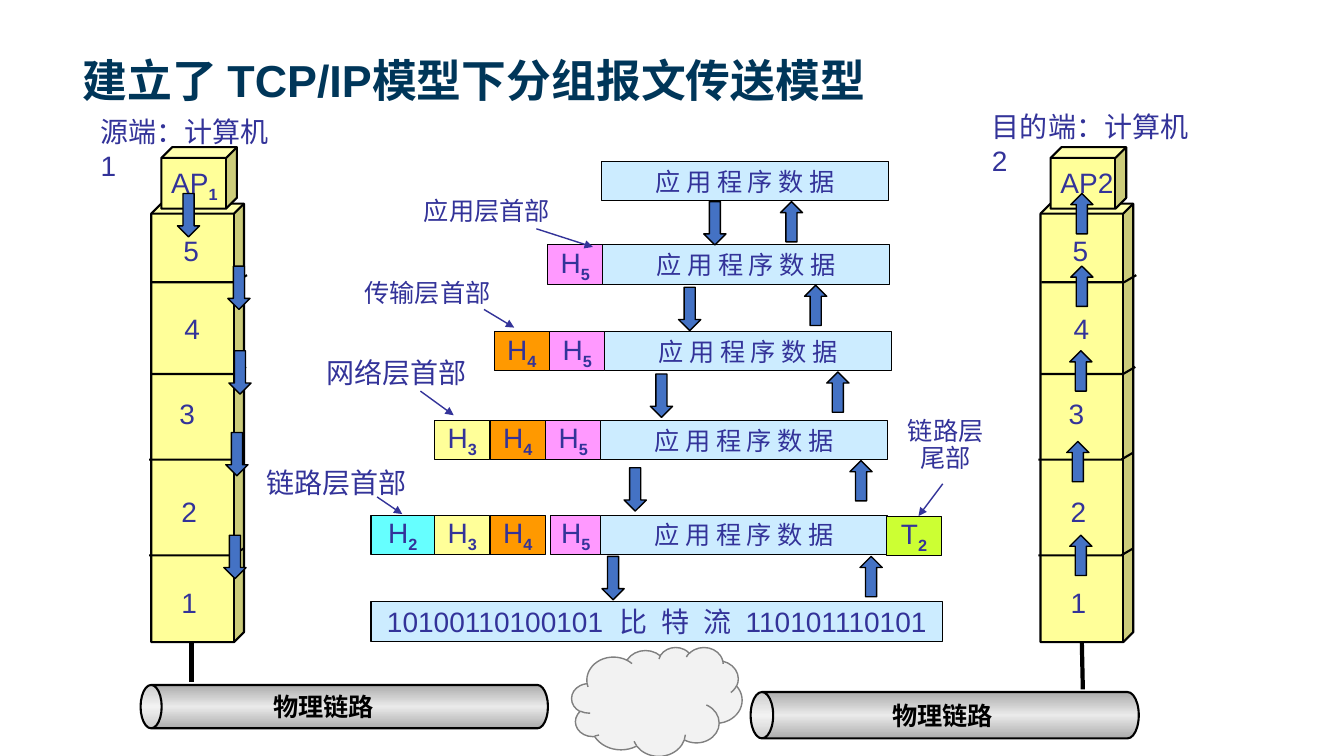
"""Build the slide on packet transfer in the TCP/IP model."""
from copy import deepcopy
from lxml.etree import SubElement
from pptx import Presentation
from pptx.dml.color import RGBColor
from pptx.enum.shapes import MSO_CONNECTOR, MSO_SHAPE
from pptx.enum.text import MSO_ANCHOR, MSO_AUTO_SIZE, PP_ALIGN
from pptx.oxml.ns import qn
from pptx.util import Inches, Pt

THEME = {
    "title": "003659", "ink": "333399", "black": "000000",
    "data": "CCECFF", "box": "FFFF99", "arrow": "4472C4",
    "cloud": "F2F2F2", "edge": "808080", "pipe": ["ACACAC", "EAEAEA", "ACACAC"],
    "H5": "FF99FF", "H4": "FF9900", "H3": "FFFF99", "H2": "66FFFF", "T2": "CCFF33",
    "head": 32, "big": 20, "mid": 18,
    "font": "Arial", "wide": "Cabin", "note": "Quicksand",
}
SUB = {"baseline": "-25000", "b": "1"}
GAP = {"spc": "560"}

TITLE = "建立了 TCP/IP模型下分组报文传送模型"
DATA = "应 用 程 序 数 据"
BITS = ["10100110100101", "比", "特", "流", "110101110101"]
LINK = "物理链路"

TOWERS = [(1.5, [("AP", {}), ("1", SUB)], 0.68), (10.32, [("AP2", {})], 0.73)]
LEVELS = [("5", 0.22, 2.27), ("4", 0.23, 3.04), ("3", 0.18, 3.88),
          ("2", 0.2, 4.86), ("1", 0.2, 5.76)]
SEAMS = [(0.01, 2.8), (0, 3.71), (-0.02, 4.56), (-0.02, 5.51)]
ENDS = [([("源端：计算机", {}), (" ", {"sz": "1000"}), ("1", {})], 0.9, 1.09, 2),
        ([("目的端：计算机2", {})], 9.74, 1.04, 2.2)]

ROWS = [
    (5.97, 1.6, []),
    (5.98, 2.43, [("H5", 0.55)]),
    (6, 3.29, [("H5", 0.55), ("H4", 0.55)]),
    (5.96, 4.17, [("H5", 0.55), ("H4", 0.55), ("H3", 0.55)]),
    (5.96, 5.11, [("H5", 0.5), ("", 0.05), ("H4", 0.55), ("H3", 0.55), ("H2", 0.63)]),
]
TAIL = (8.79, 5.12, 0.55, 0.39)
NOTES = [
    (["应用层首部"], "mid", (4.1, 1.89, 1.46, 0.4), (5.32, 2.27, 5.88, 2.45)),
    (["传输层首部"], "mid", (3.51, 2.7, 1.46, 0.4), (4.8, 3.07, 5.1, 3.25)),
    (["网络层首部"], "big", (3.14, 3.48, 1.59, 0.43), (4.17, 3.88, 4.5, 4.12)),
    (["链路层首部"], "big", (2.12, 4.61, 2.44, 0.4), (3.74, 4.93, 3.99, 5.1)),
    (["链路层", "尾部"], "mid", (8.9, 4.1, 0.96, 0.65), (9.35, 4.8, 9.11, 5.12)),
]
DOWN = [(1.76, 1.92), (2.26, 2.64), (2.27, 3.48), (2.24, 4.29), (2.22, 5.31),
        (6.98, 2), (6.73, 2.85), (6.45, 3.71), (6.19, 4.64), (5.97, 5.52)]
UP = [(7.74, 2), (7.98, 2.83), (8.2, 3.69), (8.43, 4.57), (8.53, 5.52),
      (10.62, 1.92), (10.62, 2.64), (10.61, 3.48), (10.58, 4.38), (10.61, 5.31)]
PIPES = [((3.2, 4.99, 0.43, 4.04), (2.61, 6.81, 1.21, 0.4)),
         ((9.14, 5.17, 0.46, 3.85), (8.75, 6.9, 1.21, 0.4))]
STEMS = [(1.9, 6.37, 1.9, 6.77), (10.73, 6.38, 10.74, 6.84)]


def tint(name):
    return RGBColor.from_string(THEME[name])


def write(shape, lines, size="big", font="font", ink="ink", bold=False,
          wrap=False, **form):
    """Fill a shape with lines, each a list of (text, run attributes)."""
    frame = shape.text_frame
    frame.word_wrap = wrap
    look = {"size": Pt(THEME[size]), "name": THEME[font], "bold": bold}
    for i, line in enumerate(lines):
        par = frame.add_paragraph() if i else frame.paragraphs[0]
        for key, val in form.items():
            setattr(par, key, val)
        for text, marks in line:
            run = par.add_run()
            run.text = text
            for key, val in look.items():
                setattr(run.font, key, val)
            run.font.color.rgb = tint(ink)
            for key, val in marks.items():
                run._r.get_or_add_rPr().set(key, val)


def label(lines, spot, **form):
    """Add a text box that grows with its text."""
    box = shapes.add_textbox(*map(Inches, spot))
    write(box, lines, **form)
    box.text_frame.auto_size = MSO_AUTO_SIZE.SHAPE_TO_FIT_TEXT


def draw(kind, spot, fill, width, adj=(), edge="black", turn=0):
    """Add a preset shape with a fill and an outline."""
    shape = shapes.add_shape(kind, *map(Inches, spot))
    shape.shadow.inherit = False
    shape.rotation = turn
    for i, val in enumerate(adj):
        shape.adjustments[i] = val
    if fill == "pipe":
        shape.fill.gradient()
        shape.fill.gradient_angle = 0
        first = shape._element.spPr.find(".//" + qn("a:gs"))
        mid = deepcopy(first)
        mid.set("pos", "50000")
        first.addnext(mid)
        for stop, tone in zip(shape.fill.gradient_stops, THEME[fill]):
            stop.color.rgb = RGBColor.from_string(tone)
    else:
        shape.fill.solid()
        shape.fill.fore_color.rgb = tint(fill)
    shape.line.color.rgb = tint(edge)
    shape.line.width = Pt(width)
    return shape


def cell(lines, spot, fill, **form):
    """Add a packet cell with centred text."""
    box = draw(MSO_SHAPE.RECTANGLE, spot, fill, 0.75)
    write(box, lines, alignment=PP_ALIGN.CENTER, **form)


def part(name, spot):
    cell([[(name[0], {}), (name[1], SUB)]], spot, name)


def link(ends, ink, width, tip=False):
    """Add a straight line, with an arrowhead if asked."""
    line = shapes.add_connector(MSO_CONNECTOR.STRAIGHT, *map(Inches, ends))
    line.line.color.rgb = tint(ink)
    line.line.width = Pt(width)
    if tip:
        SubElement(line.line._get_or_add_ln(), qn("a:tailEnd"), type="triangle")
    SubElement(line._element.spPr, qn("a:effectLst"))


def tower(left, name, wide):
    """Add one protocol stack with its five levels."""
    draw(MSO_SHAPE.CUBE, (left, 2.02, 0.92, 4.35), "box", 1.5, [0.108])
    for text, dx, top in LEVELS:
        label([[(text, {})]], (left + dx, top, 0.36, 0.43))
    for dx, y in SEAMS:
        x = left + dx
        pen = shapes.build_freeform(Inches(x), Inches(y))
        pen.add_line_segments([(Inches(x + 0.82), Inches(y)),
                               (Inches(x + 0.94), Inches(y - 0.07))], close=False)
        seam = pen.convert_to_shape()
        seam.shadow.inherit = False
        seam.fill.background()
        seam.line.color.rgb = tint("black")
        seam.line.width = Pt(1.5)
    draw(MSO_SHAPE.CUBE, (left + 0.1, 1.46, 0.75, 0.61), "box", 1.5, [0.176])
    label([name], (left + 0.1, 1.59, wide, 0.44))


deck = Presentation()
deck.slide_width, deck.slide_height = Inches(13.33), Inches(7.5)
slide = deck.slides.add_slide(deck.slide_layouts[5])
shapes = slide.shapes

title = shapes.title
for key, val in zip(("left", "top", "width", "height"), (0.72, 0, 11.88, 1.11)):
    setattr(title, key, Inches(val))
write(title, [[(TITLE, {})]], "head", ink="title", bold=True, wrap=True,
      alignment=PP_ALIGN.LEFT)
title.text_frame.vertical_anchor = MSO_ANCHOR.BOTTOM
title.text_frame.auto_size = MSO_AUTO_SIZE.NONE

for spot, place in PIPES:
    draw(MSO_SHAPE.CAN, spot, "pipe", 1.5, [0.487], turn=270)
    label([[(LINK, {})]], place, size="mid", ink="black", bold=True)
for stack in TOWERS:
    tower(*stack)
for line, left, top, wide in ENDS:
    label([line], (left, top, wide, 0.44), wrap=True)

for left, top, heads in ROWS:
    cell([[(DATA, {})]], (left, top, 2.84, 0.39), "data", size="mid", font="wide")
    for name, wide in heads:
        left -= wide
        if name:
            part(name, (left, top, wide, 0.39))
part("T2", TAIL)
stream = [(BITS[0], {})]
for bit in BITS[1:]:
    stream += [(" ", GAP), (bit, {})]
cell([stream], (3.68, 5.97, 5.67, 0.39), "data")

for lines, size, spot, ends in NOTES:
    label([[(text, {})] for text in lines], spot, size=size, font="note",
          alignment=PP_ALIGN.CENTER, line_spacing=0.9 if ends[1] > 4.5 else 1)
    link(ends, "ink", 1, True)
for spots, high, turn in ((DOWN, 0.43, 180), (UP, 0.4, 0)):
    for left, top in spots:
        draw(MSO_SHAPE.UP_ARROW, (left, top, 0.22, high), "arrow", 1,
             [0.5, 0.5], turn=turn)
draw(MSO_SHAPE.CLOUD, (5.67, 6.42, 1.69, 1.08), "cloud", 1, edge="edge")
for ends in STEMS:
    link(ends, "black", 3)

deck.save("out.pptx")
